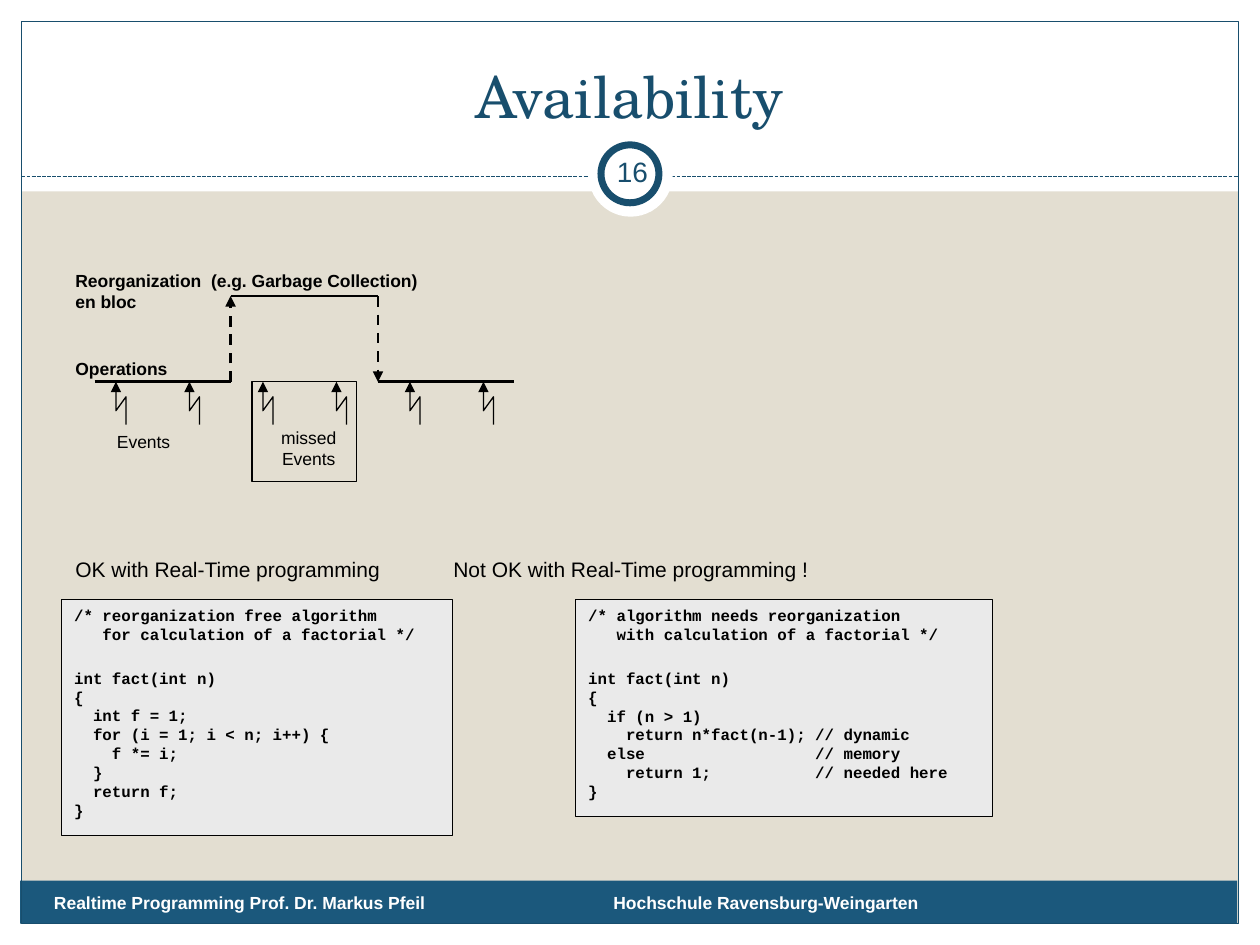
from dataclasses import dataclass

from lxml.etree import SubElement
from pptx import Presentation
from pptx.dml.color import RGBColor
from pptx.enum.dml import MSO_LINE
from pptx.enum.shapes import MSO_CONNECTOR, MSO_SHAPE
from pptx.enum.text import MSO_ANCHOR, PP_ALIGN
from pptx.oxml.ns import qn
from pptx.util import Inches, Pt


@dataclass(frozen=True)
class Theme:
    sand: str = "E3DED1"
    white: str = "FFFFFF"
    blue: str = "1B587C"
    navy: str = "184E6D"
    black: str = "000000"
    grey: str = "EAEAEA"
    sans: str = "Arial"
    serif: str = "TeX Gyre Schola"
    mono: str = "Courier New"
    title: int = 33
    page: int = 16
    head: int = 12
    label: int = 10
    code: int = 9
    thin: float = 0.75
    thick: float = 1.5
    ring: float = 4


THEME = Theme()

LOOP = """/* reorganization free algorithm
   for calculation of a factorial */
int fact(int n)
{
  int f = 1;
  for (i = 1; i < n; i++) {
    f *= i;
  }
  return f;
}"""

RECURSE = """/* algorithm needs reorganization
   with calculation of a factorial */
int fact(int n)
{
  if (n > 1)
    return n*fact(n-1); // dynamic
  else                  // memory
    return 1;           // needed here
}"""


def rgb(color):
    return RGBColor.from_string(color)


def add_run(para, text, size, color=THEME.black, bold=False, face=THEME.sans):
    run = para.add_run()
    run.text = text
    font = run.font
    font.size, font.bold, font.name = Pt(size), bold, face
    font.color.rgb = rgb(color)


def fill_text(frame, lines, size, align=PP_ALIGN.LEFT, **style):
    """Put each line in its own paragraph."""
    for i, line in enumerate(lines):
        para = frame.paragraphs[0] if i == 0 else frame.add_paragraph()
        para.alignment = align
        add_run(para, line, size, **style)


def add_text(slide, box, lines, size, anchor=MSO_ANCHOR.TOP, **style):
    frame = slide.shapes.add_textbox(*map(Inches, box)).text_frame
    frame.word_wrap = True
    frame.vertical_anchor = anchor
    fill_text(frame, lines, size, **style)
    return frame


def add_box(slide, box, fill=None, line=None, width=THEME.thin, kind=MSO_SHAPE.RECTANGLE):
    shape = slide.shapes.add_shape(kind, *map(Inches, box))
    shape.shadow.inherit = False
    if fill:
        shape.fill.solid()
        shape.fill.fore_color.rgb = rgb(fill)
    else:
        shape.fill.background()
    if line:
        shape.line.color.rgb = rgb(line)
        shape.line.width = Pt(width)
    else:
        shape.line.fill.background()
    return shape


def add_head(line):
    """Put an arrowhead at the far end of a line."""
    SubElement(line._get_or_add_ln(), qn("a:tailEnd"), type="triangle")


def add_line(slide, start, end, color=THEME.black, width=THEME.thick, dash=None, arrow=False):
    wire = slide.shapes.add_connector(MSO_CONNECTOR.STRAIGHT, *map(Inches, start + end))
    wire.line.color.rgb = rgb(color)
    wire.line.width = Pt(width)
    if dash:
        wire.line.dash_style = dash
    if arrow:
        add_head(wire.line)
    SubElement(wire._element.spPr, qn("a:effectLst"))


def add_bolt(slide, left, top):
    """Draw the zigzag arrow of one event."""
    right = left + 0.08
    spots = [(right, top + 0.34), (right, top + 0.12), (left, top + 0.23), (left, top)]
    start, *rest = [(Inches(x), Inches(y)) for x, y in spots]
    path = slide.shapes.build_freeform(*start)
    path.add_line_segments(rest, close=False)
    bolt = path.convert_to_shape()
    bolt.shadow.inherit = False
    bolt.fill.background()
    bolt.line.color.rgb = rgb(THEME.black)
    bolt.line.width = Pt(THEME.thin)
    add_head(bolt.line)


def add_code(slide, box, code):
    shape = add_box(slide, box, THEME.grey, THEME.black)
    frame = shape.text_frame
    frame.word_wrap = True
    frame.vertical_anchor = MSO_ANCHOR.TOP
    fill_text(frame, code.split("\n"), THEME.code, bold=True, face=THEME.mono)
    # Gap between the comment and the function
    frame.paragraphs[2].space_before = Pt(14)


def add_frame(slide):
    # White margins, footer band and border
    for box in [(0, 7.33, 10, 0.17), (0, 0, 10, 1.52), (0, 0, 0.17, 7.5), (9.83, 0, 0.17, 7.5)]:
        add_box(slide, box, THEME.white)
    add_box(slide, (0.16, 6.99, 9.66, 0.34), THEME.blue)
    add_box(slide, (0.17, 0.17, 9.66, 7.16), line=THEME.navy)
    add_line(slide, (0.17, 1.4), (9.83, 1.4), THEME.navy, THEME.thin, MSO_LINE.SQUARE_DOT)

    # Page number in its ring
    add_box(slide, (4.67, 1.05, 0.67, 0.67), THEME.white, kind=MSO_SHAPE.OVAL)
    add_box(slide, (4.77, 1.15, 0.46, 0.46), THEME.white, THEME.navy, THEME.ring, MSO_SHAPE.OVAL)
    page = add_text(slide, (4.77, 1.12, 0.5, 0.48), ["16"], THEME.page, MSO_ANCHOR.MIDDLE,
                    align=PP_ALIGN.CENTER, color=THEME.navy)
    page.margin_left = page.margin_right = Inches(0.05)

    # Footer
    foot = dict(size=THEME.label, color=THEME.white, bold=True)
    add_text(slide, (0.33, 7.03, 3.92, 0.27), ["Realtime Programming Prof. Dr. Markus Pfeil"], **foot)
    school = add_text(slide, (4.77, 7.08, 3.29, 0.22), ["Hochschule Ravensburg-Weingarten"], **foot)
    school.paragraphs[0].line_spacing = 0.65


def add_title(slide, text):
    title = slide.shapes.title
    title.left, title.top, title.width, title.height = map(Inches, (0.33, 0.25, 9.33, 0.83))
    title.text_frame.vertical_anchor = MSO_ANCHOR.BOTTOM
    fill_text(title.text_frame, [text], THEME.title, PP_ALIGN.CENTER,
              color=THEME.navy, face=THEME.serif)
    # Bring the title in front of the white margin
    slide.shapes._spTree.append(title._element)


def add_chart_of_events(slide):
    low, high, rise, fall = 3.03, 2.35, 1.83, 3
    add_box(slide, (2, low, 0.83, 0.79), line=THEME.black)

    # Work, detour and return
    add_line(slide, (0.75, low), (rise, low))
    add_line(slide, (fall, low), (4.08, low))
    add_line(slide, (rise, low), (rise, high), dash=MSO_LINE.DASH, arrow=True)
    add_line(slide, (fall, high), (fall, low), dash=MSO_LINE.DASH, arrow=True)
    add_line(slide, (rise, high), (fall, high))
    for i in range(6):
        add_bolt(slide, 0.92 + i * 7 / 12, low)

    # Labels
    size = THEME.label
    add_text(slide, (0.5, 2.09, 3.08, 0.45),
             ["Reorganization  (e.g. Garbage Collection)", "en bloc"], size, bold=True)
    add_text(slide, (0.5, 2.79, 1, 0.34), ["Operations"], size, bold=True)
    add_text(slide, (0.83, 3.37, 1, 0.34), ["Events"], size)
    add_text(slide, (1.99, 3.34, 0.92, 0.91), ["missed", "Events"], size, align=PP_ALIGN.CENTER)


def main():
    deck = Presentation()
    deck.slide_width, deck.slide_height = Inches(10), Inches(7.5)
    slide = deck.slides.add_slide(deck.slide_layouts[5])
    slide.background.fill.solid()
    slide.background.fill.fore_color.rgb = rgb(THEME.sand)

    add_frame(slide)
    add_title(slide, "Availability")
    add_chart_of_events(slide)

    # Code samples under their headings
    add_code(slide, (0.49, 4.76, 3.1, 1.87), LOOP)
    add_code(slide, (4.57, 4.76, 3.31, 1.72), RECURSE)
    add_text(slide, (0.5, 4.17, 7.1, 0.5),
             ["OK with Real-Time programming\t\tNot OK with Real-Time programming !"],
             THEME.head, MSO_ANCHOR.BOTTOM)
    deck.save("out.pptx")


if __name__ == "__main__":
    main()
